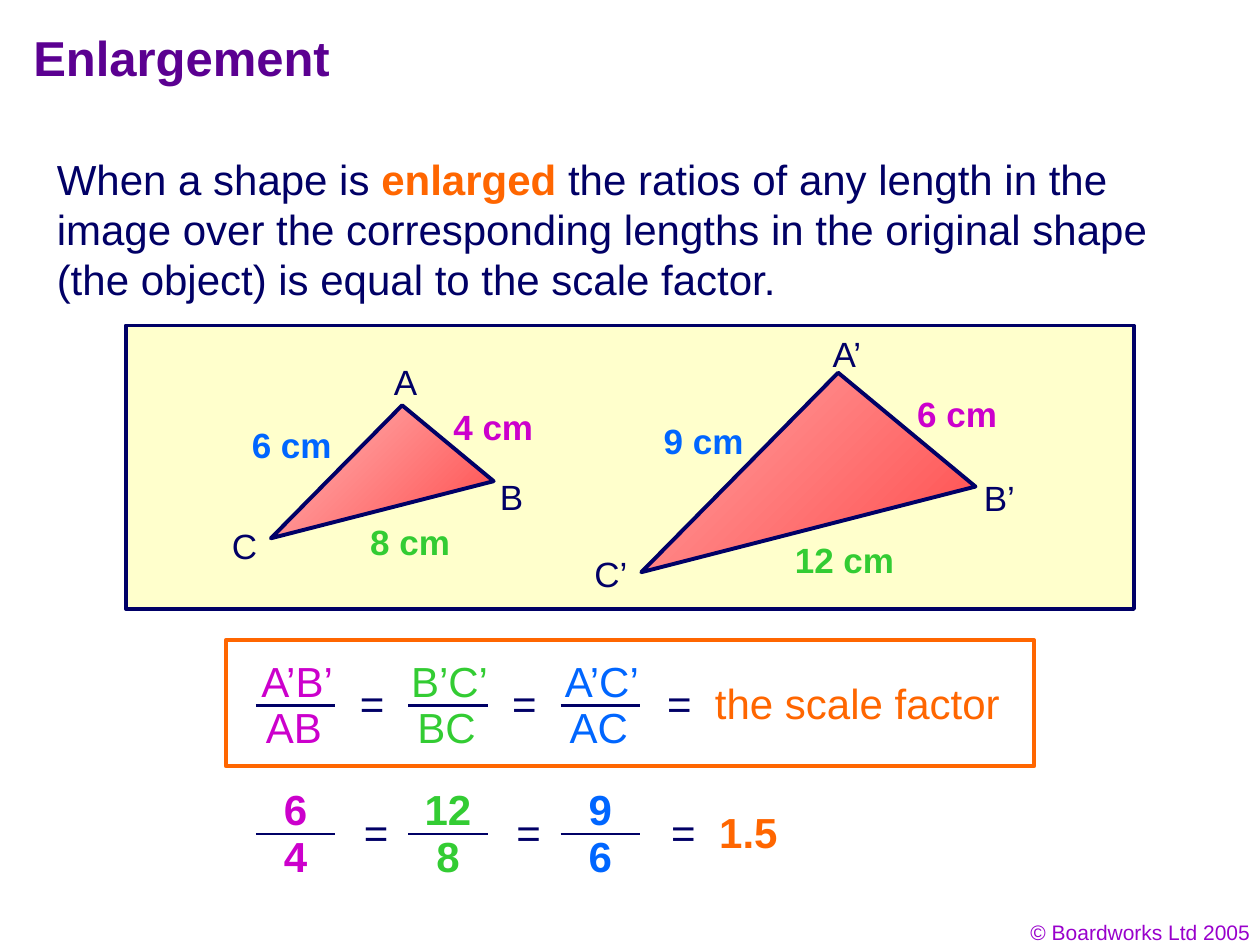
from lxml.etree import SubElement
from pptx import Presentation
from pptx.dml.color import RGBColor
from pptx.enum.shapes import MSO_CONNECTOR, MSO_SHAPE
from pptx.enum.text import MSO_ANCHOR, PP_ALIGN
from pptx.oxml.ns import qn
from pptx.util import Pt

COLOURS = {
    "title": "5B0091", "text": "010066", "outline": "000066", "panel": "FFFFCC",
    "accent": "FF6600", "credit": "9900CC", "ab": "CC00CC", "bc": "33CC33",
    "ac": "0066FF", "dark": "FF4B4B", "pale": "FFB9B9", "mid": "FFA5A5",
}
SIDES = ("ab", "ac", "bc")


def colour(name):
    """Return the named colour."""
    return RGBColor.from_string(COLOURS[name])


def add_text(page, text, left, top, width, height, size=24, fill="text", bold=False,
             align=PP_ALIGN.LEFT, wrap=False, tab=None):
    """Add a text box; text is a string or a list of (text, colour, bold) spans."""
    box = page.shapes.add_textbox(Pt(left), Pt(top), Pt(width), Pt(height))
    frame = box.text_frame
    frame.word_wrap = wrap
    frame.vertical_anchor = MSO_ANCHOR.TOP
    para = frame.paragraphs[0]
    para.alignment = align
    if tab:
        stops = SubElement(para._p.get_or_add_pPr(), qn("a:tabLst"))
        SubElement(stops, qn("a:tab"), pos=str(Pt(tab)), algn="l")
    spans = [(text, fill, bold)] if isinstance(text, str) else text
    for words, name, strong in spans:
        span = para.add_run()
        span.text = words
        span.font.name = "Arial"
        span.font.size = Pt(size)
        span.font.bold = strong
        span.font.color.rgb = colour(name)
    return box


def set_outline(shape, name):
    """Give a shape a thick plain outline and no shadow."""
    shape.shadow.inherit = False
    shape.line.color.rgb = colour(name)
    shape.line.width = Pt(2.25)


def add_frame(page, left, top, width, height, line, fill=None):
    """Add an outlined rectangle, filled when a fill is named."""
    frame = page.shapes.add_shape(MSO_SHAPE.RECTANGLE, Pt(left), Pt(top), Pt(width), Pt(height))
    set_outline(frame, line)
    if fill:
        frame.fill.solid()
        frame.fill.fore_color.rgb = colour(fill)
    else:
        frame.fill.background()


def add_triangle(page, left, top, scale, light):
    """Draw triangle CAB from its corner C, enlarged by the scale factor."""
    corners = [(left + scale * x, top + scale * y) for x, y in ((75, -76), (127.3, -32.6))]
    builder = page.shapes.build_freeform(Pt(left), Pt(top))
    builder.add_line_segments([(Pt(x), Pt(y)) for x, y in corners], close=True)
    triangle = builder.convert_to_shape()
    set_outline(triangle, "outline")
    triangle.fill.gradient()
    triangle.fill.gradient_angle = 135
    for stop, name in zip(triangle.fill.gradient_stops, ("dark", light)):
        stop.color.rgb = colour(name)


def add_triangle_panel(page, left, top, width, height):
    """Draw the panel with the object, its image and their labels."""
    add_frame(page, left, top, width, height, "outline", "panel")
    add_triangle(page, left + 82.8, top + 121.6, 1, "pale")
    add_triangle(page, left + 294.5, top + 141, 1.5, "mid")
    corners = (
        ("A", 146, 16.5, 31), ("B", 206.6, 82, 31), ("C", 53.5, 110, 33),
        ("A’", 396.7, 0.5, 37), ("B’", 483.1, 82.5, 37), ("C’", 260.6, 126, 38),
    )
    for text, x, y, label_width in corners:
        add_text(page, text, left + x, top + y, label_width, 31.5, size=20)
    lengths = (
        (("4 cm", 180, 42.4, 64), ("6 cm", 64.8, 52.5, 64), ("8 cm", 132.5, 108, 64)),
        (("6 cm", 445, 34.5, 64), ("9 cm", 300.2, 50, 64), ("12 cm", 375.1, 118, 75)),
    )
    for triangle in lengths:
        for side, (text, x, y, label_width) in zip(SIDES, triangle):
            add_text(page, text, left + x, top + y, label_width, 31.5,
                     size=20, fill=side, bold=True)


def add_fraction(page, left, top, parts, widths, fill, bold, shift):
    """Stack a numerator and a denominator about a bar."""
    bar_width, bar_top = 45.4, top + 37.4
    for text, width, y, nudge in zip(parts, widths, (5, 31.7), (shift, -shift)):
        add_text(page, text, left + (bar_width - width) / 2 + nudge, top + y, width, 36,
                 fill=fill, bold=bold, align=PP_ALIGN.CENTER)
    bar = page.shapes.add_connector(MSO_CONNECTOR.STRAIGHT, Pt(left), Pt(bar_top),
                                    Pt(left + bar_width), Pt(bar_top))
    bar.line.color.rgb = colour("outline")
    bar.line.width = Pt(1.5)
    SubElement(bar._element.spPr, qn("a:effectLst"))


def add_ratio_row(page, left, top, fractions, result, result_width, equals, widths,
                  bold=False, shift=0):
    """Lay out three equal fractions followed by their common value."""
    pitch = 87.1
    for column, (side, parts) in enumerate(fractions):
        x = left + column * pitch
        add_fraction(page, x, top, parts, widths, side, bold, shift)
        if column < len(fractions) - 1:
            add_text(page, "=", x + equals, top + 18, 32, 36)
    add_text(page, [("=\t", "text", False), (result, "accent", bold)],
             left + len(fractions) * pitch - 87.1 + equals + 1.4, top + 18,
             result_width, 36, wrap=True, tab=27.4)


def build_deck():
    """Build the enlargement slide and save it."""
    deck = Presentation()
    deck.slide_width, deck.slide_height = Pt(720), Pt(540)
    page = deck.slides.add_slide(deck.slide_layouts[6])
    add_text(page, "© Boardworks Ltd 2005", 553.7, 522, 167.8, 21.6, size=12,
             fill="credit", align=PP_ALIGN.RIGHT, wrap=True)
    add_text(page, "Enlargement", 12, 12, 612, 48, size=28, fill="title", bold=True, wrap=True)
    add_text(page, [
        ("When a shape is ", "text", False),
        ("enlarged", "accent", True),
        (" the ratios of any length in the image over the corresponding lengths "
         "in the original shape (the object) is equal to the scale factor.", "text", False),
    ], 25.4, 84, 659, 93.6, wrap=True)
    add_triangle_panel(page, 72, 186, 576, 162)
    add_frame(page, 129, 365.8, 462, 72, "accent")
    add_ratio_row(page, 146.2, 365.8, (
        ("ab", ("A’B’", "AB")),
        ("bc", ("B’C’", "BC")),
        ("ac", ("A’C’", "AC")),
    ), "the scale factor", 208, 52.3, (66, 54), shift=0.9)
    add_ratio_row(page, 146.2, 439.2, (
        ("ab", ("6", "4")),
        ("bc", ("12", "8")),
        ("ac", ("9", "6")),
    ), "1.5", 78, 54.7, (46, 32), bold=True)
    deck.save("out.pptx")


if __name__ == "__main__":
    build_deck()
